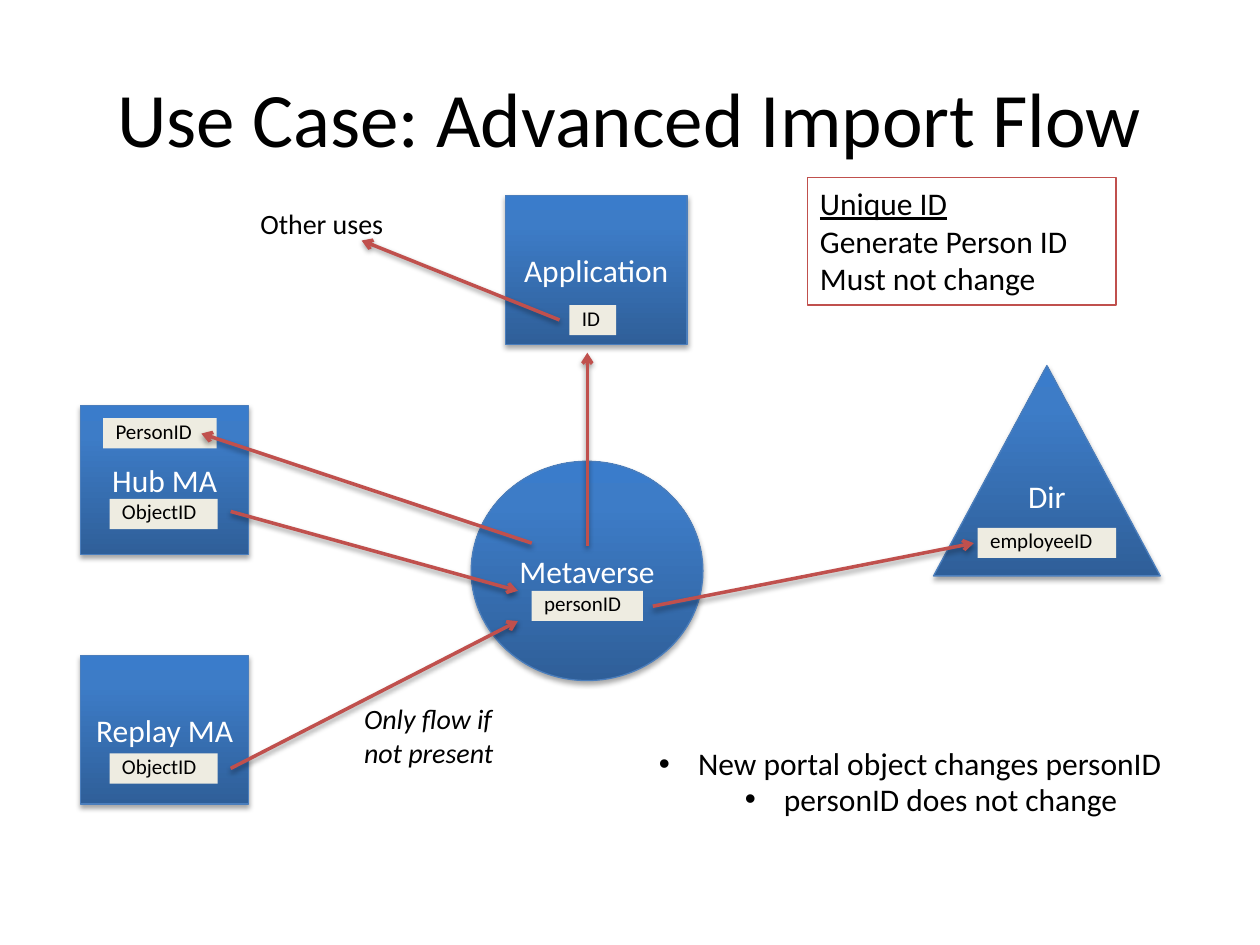
from copy import deepcopy
from dataclasses import dataclass

from lxml.etree import SubElement
from pptx import Presentation
from pptx.dml.color import RGBColor
from pptx.enum.shapes import MSO_CONNECTOR as Connector, MSO_SHAPE as Shape
from pptx.enum.text import MSO_ANCHOR as Anchor, MSO_AUTO_SIZE as AutoSize, PP_ALIGN as Align
from pptx.oxml.ns import qn
from pptx.util import Cm, Pt

COLORS = {
    "text": "000000", "light": "FFFFFF", "accent": "C0504D", "chip": "EEECE1",
    "outline": "4B7EBC", "bottom": "2F5F99", "middle": "3D7CC7", "top": "3A7CCB",
}
FONT = "Calibri"
GRADIENT = ((0, "bottom"), (0.8, "middle"), (1, "top"))
CHIP_HEIGHT = 0.61
BULLET_INDENT = 0.79


@dataclass
class Box:
    """Text in a rectangular area, measured in centimetres."""
    text: str
    left: float
    top: float
    width: float
    height: float = CHIP_HEIGHT


@dataclass
class Node(Box):
    """A system that takes part in the flow."""
    preset: Shape = Shape.RECTANGLE
    anchor: Anchor = Anchor.MIDDLE


@dataclass
class Arrow:
    """A flow from one point to another, in centimetres."""
    start: tuple[float, float]
    end: tuple[float, float]


NODES = [
    Node("Hub MA", 1.63, 8.18, 3.38, 3),
    Node("Metaverse", 9.5, 9.3, 4.67, 4.42, Shape.OVAL),
    Node("Dir", 18.82, 7.37, 4.57, 4.24, Shape.ISOSCELES_TRIANGLE, Anchor.TOP),
    Node("Replay MA", 1.63, 13.21, 3.38, 3),
    Node("Application", 10.19, 3.94, 3.66, 3),
]
CHIPS = [
    Box("personID", 10.72, 11.91, 2.24),
    Box("ObjectID", 2.21, 10.06, 2.18),
    Box("employeeID", 19.71, 10.64, 2.79),
    Box("ObjectID", 2.21, 15.19, 2.18),
    Box("ID", 11.48, 6.15, 0.94),
    Box("PersonID", 2.08, 8.43, 2.29),
]
ARROWS = [
    Arrow((4.65, 10.31), (10.44, 11.91)),
    Arrow((13.16, 12.22), (19.63, 10.95)),
    Arrow((11.84, 11), (11.84, 7.11)),
    Arrow((11.28, 6.45), (7.29, 4.85)),
    Arrow((4.65, 15.49), (10.44, 12.52)),
    Arrow((10.72, 10.95), (4.06, 8.74)),
]
LISTS = [
    Box("New portal object changes personID", 13.03, 14.88, 11.63, 1.02),
    Box("personID does not change", 14.76, 15.6, 8.84, 1.02),
]
RULES = Box("Unique ID\nGenerate Person ID\nMust not change", 16.28, 3.58, 6.22, 2.57)
OTHER_USES = Box("Other uses", 5, 4.04, 3.3, 0.94)
CONDITION = Box("Only flow if\nnot present", 7.09, 14.02, 3.38, 1.63)


def color(name: str) -> RGBColor:
    """Look up a colour of the slide."""
    return RGBColor.from_string(COLORS[name])


def area(box: Box) -> tuple[Cm, Cm, Cm, Cm]:
    """Give left, top, width and height as lengths."""
    return Cm(box.left), Cm(box.top), Cm(box.width), Cm(box.height)


def write(shape, text: str, size: int, ink: str = "text", align: Align = Align.LEFT) -> list:
    """Write each line as a paragraph with one run, and return the runs."""
    frame = shape.text_frame
    runs = []
    for index, line in enumerate(text.split("\n")):
        paragraph = frame.add_paragraph() if index else frame.paragraphs[0]
        paragraph.alignment = align
        run = paragraph.add_run()
        run.text = line
        run.font.name = FONT
        run.font.size = Pt(size)
        run.font.color.rgb = color(ink)
        runs.append(run)
    return runs


def fit_to_text(shape) -> None:
    """Keep lines unbroken and size the shape by its text."""
    shape.text_frame.word_wrap = False
    shape.text_frame.auto_size = AutoSize.SHAPE_TO_FIT_TEXT


def add_shadow(properties, opacity: int, distance: float) -> None:
    """Add a soft shadow that falls straight down."""
    effects = properties.find(qn("a:effectLst"))
    if effects is None:
        effects = SubElement(properties, qn("a:effectLst"))
    shadow = SubElement(effects, qn("a:outerShdw"), blurRad=str(Pt(3.1)),
                        dist=str(Pt(distance)), dir="5400000", rotWithShape="0")
    ink = SubElement(shadow, qn("a:srgbClr"), val=COLORS["text"])
    SubElement(ink, qn("a:alpha"), val=str(opacity * 1000))


def add_node(slide, node: Node) -> None:
    """Draw a system with a blue gradient and a shadow."""
    shape = slide.shapes.add_shape(node.preset, *area(node))
    shape.fill.gradient()
    stop_list = next(shape._element.spPr.iter(qn("a:gsLst")))
    stop_list.append(deepcopy(stop_list[0]))
    for stop, (position, name) in zip(shape.fill.gradient_stops, GRADIENT):
        stop.position = position
        stop.color.rgb = color(name)
    shape.fill.gradient_angle = 90
    shape.line.color.rgb = color("outline")
    shape.line.width = Pt(0.75)
    shape.shadow.inherit = False
    add_shadow(shape._element.spPr, 35, 1.8)
    shape.text_frame.vertical_anchor = node.anchor
    write(shape, node.text, 18, "light", Align.CENTER)


def add_chip(slide, chip: Box) -> None:
    """Draw an attribute label."""
    shape = slide.shapes.add_shape(Shape.RECTANGLE, *area(chip))
    shape.fill.solid()
    shape.fill.fore_color.rgb = color("chip")
    shape.line.fill.background()
    shape.shadow.inherit = False
    frame = shape.text_frame
    frame.vertical_anchor = Anchor.TOP
    frame.margin_top, frame.margin_bottom = Cm(0), Cm(0.1)
    fit_to_text(shape)
    write(shape, chip.text, 12)


def add_arrow(slide, arrow: Arrow) -> None:
    """Draw a flow arrow."""
    ends = [Cm(value) for value in (*arrow.start, *arrow.end)]
    connector = slide.shapes.add_connector(Connector.STRAIGHT, *ends)
    connector.line.color.rgb = color("accent")
    connector.line.width = Pt(2)
    properties = connector._element.spPr
    SubElement(properties.find(qn("a:ln")), qn("a:tailEnd"), type="arrow")
    add_shadow(properties, 38, 1.6)


def add_note(slide, note: Box, size: int) -> tuple:
    """Add free text, and return its shape and runs."""
    shape = slide.shapes.add_textbox(*area(note))
    fit_to_text(shape)
    return shape, write(shape, note.text, size)


def fill_list(placeholder, item: Box) -> None:
    """Move a body placeholder and write its bullet."""
    placeholder.left, placeholder.top, placeholder.width, placeholder.height = area(item)
    fit_to_text(placeholder)
    write(placeholder, item.text, 18)
    paragraph = placeholder.text_frame.paragraphs[0]
    paragraph.space_before = Pt(0)
    properties = paragraph._p.get_or_add_pPr()
    properties.set("marL", str(Cm(BULLET_INDENT)))
    properties.set("indent", str(-Cm(BULLET_INDENT)))


def main() -> None:
    """Build and save the slide."""
    presentation = Presentation()
    presentation.slide_width, presentation.slide_height = Cm(25.4), Cm(19.05)
    slide = presentation.slides.add_slide(presentation.slide_layouts[3])
    title, *bodies = slide.placeholders
    title.left, title.top, title.width, title.height = Cm(1.27), Cm(0.76), Cm(22.86), Cm(3.18)
    write(title, "Use Case: Advanced Import Flow", 44, align=Align.CENTER)
    for body, item in zip(bodies, LISTS):
        fill_list(body, item)
    for node in NODES:
        add_node(slide, node)
    for chip in CHIPS:
        add_chip(slide, chip)
    for arrow in ARROWS:
        add_arrow(slide, arrow)
    rules, rule_runs = add_note(slide, RULES, 18)
    rules.line.color.rgb = color("accent")
    rules.line.width = Pt(0.75)
    rule_runs[0].font.underline = True
    add_note(slide, OTHER_USES, 16)
    for run in add_note(slide, CONDITION, 16)[1]:
        run.font.italic = True
    presentation.save("out.pptx")


main()
